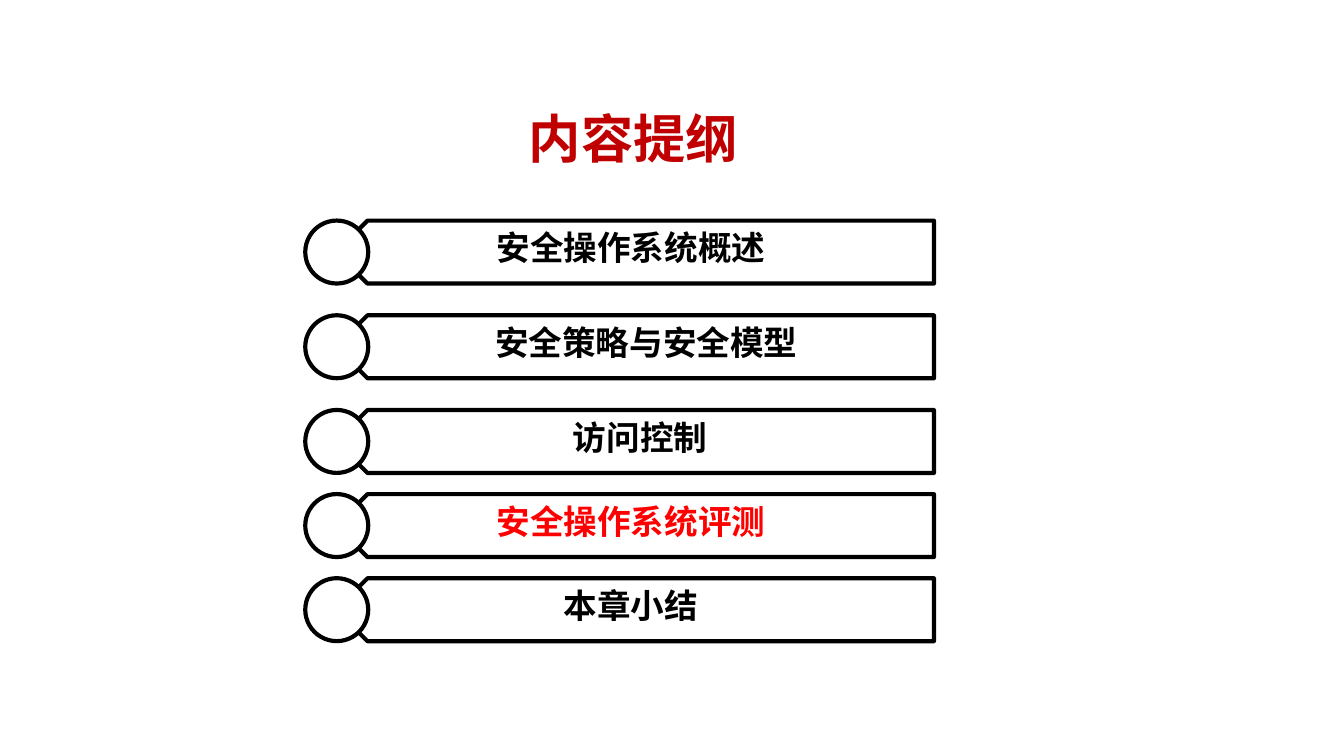
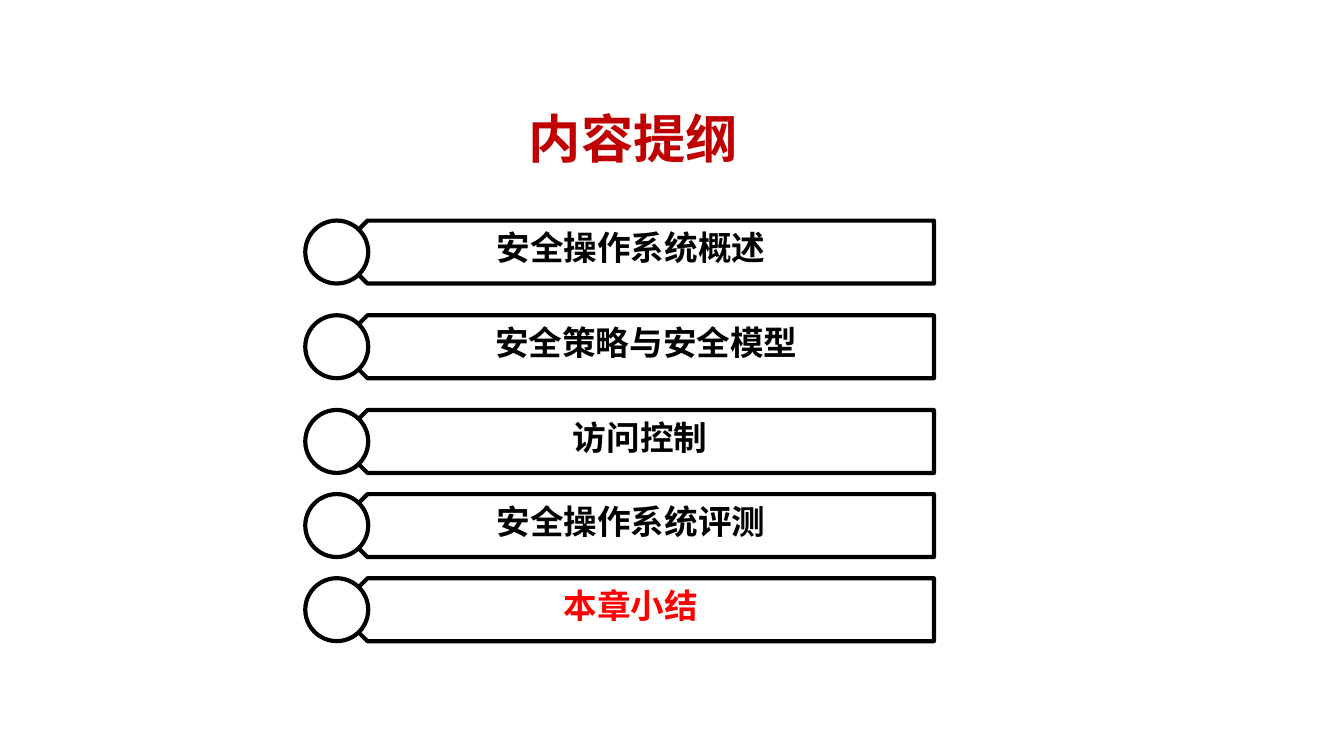
from dataclasses import dataclass
from itertools import accumulate

from lxml import etree
from pptx import Presentation
from pptx import util as u
from pptx.dml.color import RGBColor
from pptx.enum import lang, shapes, text
from pptx.oxml import ns


@dataclass(frozen=True)
class Theme:
    """Colours, fonts and type sizes shared by the outline slides."""
    paper: str = "FFFFFF"
    ink: str = "000000"
    heading: str = "C00000"
    current: str = "FF0000"
    latin: str = "Arial"
    chinese: str = "Noto Sans CJK SC"
    heading_size: float = 28
    topic_size: float = 18
    outline: float = 2.25


THEME = Theme()
HEADING = "内容提纲"
TOPICS = [
    ("安全操作系统概述", 8.94, 5.97),
    ("安全策略与安全模型", 8.94, 6.55),
    ("访问控制", 8.33, 7.54),
    ("安全操作系统评测", 8.94, 5.97),
    ("本章小结", 8.94, 5.97),
]
ROW_TOPS = list(accumulate([4.17, 1.79, 1.79, 1.59, 1.59]))
ROW_HEIGHT = 1.19
LABEL_HEIGHT = 1.02
BAR_LEFT, BAR_WIDTH = 6.35, 11.3
KNOB_LEFT = 5.77
CURRENT_TOPICS = (3, 4)


def box(*lengths):
    """Return left, top, width and height given in centimetres."""
    return [u.Cm(length) for length in lengths]


def write(frame, words, size, color, face, **frame_format):
    """Put one bold centred line into a text frame."""
    frame_format = {"word_wrap": True, **frame_format}
    for name, value in frame_format.items():
        setattr(frame, name, value)
    line = frame.paragraphs[0]
    line.alignment = text.PP_ALIGN.CENTER
    run = line.add_run()
    run.text = words
    font_format = {"size": u.Pt(size), "bold": True, "name": face,
                   "language_id": lang.MSO_LANGUAGE_ID.SIMPLIFIED_CHINESE}
    for name, value in font_format.items():
        setattr(run.font, name, value)
    run.font.color.rgb = RGBColor.from_string(color)
    latin = run.font._element.find(ns.qn("a:latin"))
    east_asian = etree.Element(ns.qn("a:ea"), typeface=THEME.chinese)
    latin.addnext(east_asian)


def add_heading(slide):
    """Place the slide title."""
    title = slide.shapes.title
    place = zip(("left", "top", "width", "height"), box(4.17, 1.4, 15.6, 2.39))
    for name, value in place:
        setattr(title, name, value)
    write(title.text_frame, HEADING, THEME.heading_size, THEME.heading,
          THEME.latin, vertical_anchor=text.MSO_ANCHOR.MIDDLE,
          auto_size=text.MSO_AUTO_SIZE.NONE)


def add_outlined(slide, kind, place, rotation=0):
    """Add a white preset shape with a black outline."""
    shape = slide.shapes.add_shape(kind, *box(*place))
    shape.rotation = rotation
    shape.shadow.inherit = False
    shape.fill.solid()
    shape.fill.fore_color.rgb = RGBColor.from_string(THEME.paper)
    shape.line.color.rgb = RGBColor.from_string(THEME.ink)
    shape.line.width = u.Pt(THEME.outline)


def add_topic(slide, topic, top, color):
    """Add one outline row: bar, knob and label."""
    words, left, width = topic
    add_outlined(slide, shapes.MSO_SHAPE.PENTAGON,
                 (BAR_LEFT, top, BAR_WIDTH, ROW_HEIGHT), rotation=180)
    add_outlined(slide, shapes.MSO_SHAPE.OVAL,
                 (KNOB_LEFT, top, ROW_HEIGHT, ROW_HEIGHT))
    label = slide.shapes.add_textbox(*box(left, top, width, LABEL_HEIGHT))
    write(label.text_frame, words, THEME.topic_size, color, THEME.chinese,
          auto_size=text.MSO_AUTO_SIZE.SHAPE_TO_FIT_TEXT)


def add_outline_slide(deck, current):
    """Add the outline with the current topic in red."""
    slide = deck.slides.add_slide(deck.slide_layouts.get_by_name("Title Only"))
    add_heading(slide)
    for index, (topic, top) in enumerate(zip(TOPICS, ROW_TOPS)):
        color = THEME.current if index == current else THEME.ink
        add_topic(slide, topic, top, color)


def main():
    """Build and save the deck."""
    deck = Presentation()
    deck.slide_width, deck.slide_height = box(25.4, 14.29)
    for current in CURRENT_TOPICS:
        add_outline_slide(deck, current)
    deck.save("out.pptx")


if __name__ == "__main__":
    main()
